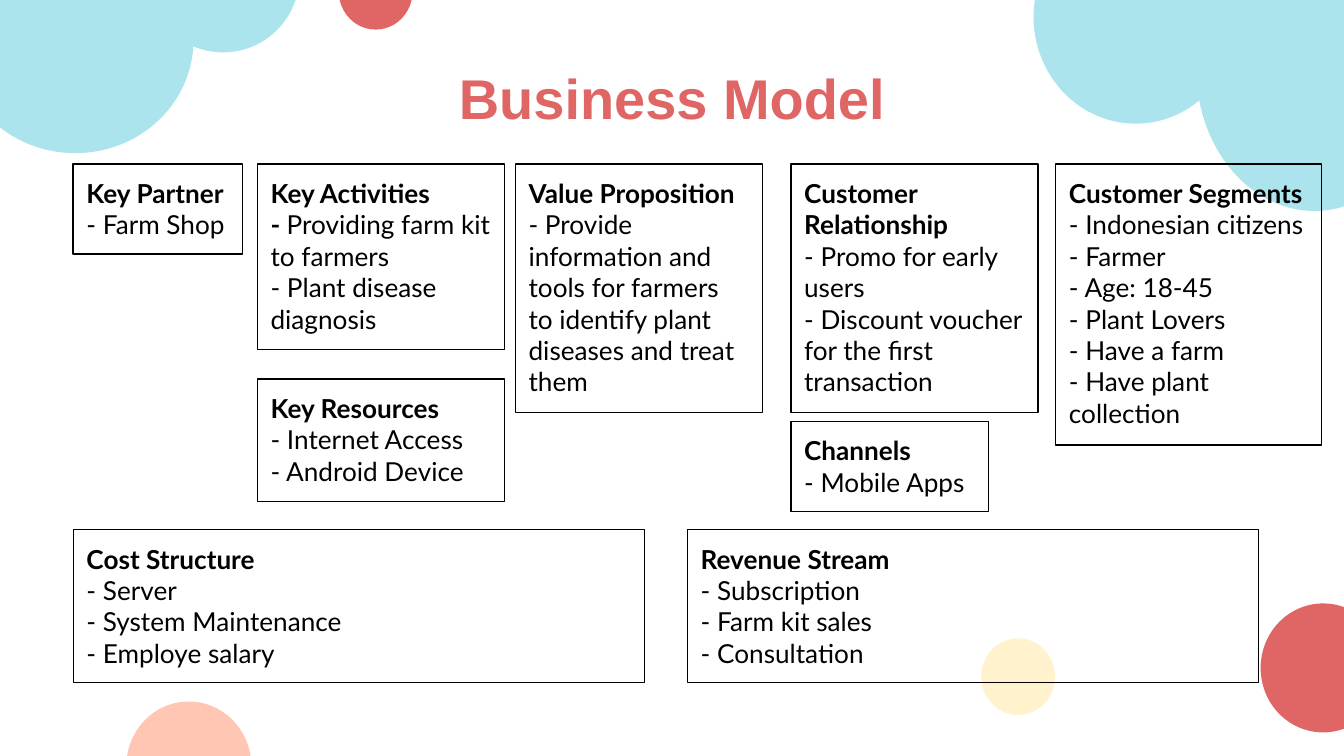
from dataclasses import dataclass

from pptx import Presentation
from pptx.dml.color import RGBColor
from pptx.enum.shapes import MSO_SHAPE
from pptx.enum.text import MSO_ANCHOR, MSO_AUTO_SIZE, PP_ALIGN
from pptx.util import Pt

PX = 4572


@dataclass(frozen=True)
class Theme:
    """Colours, fonts and type sizes of the deck."""

    ink: str = "000000"
    paper: str = "FFFFFF"
    red: str = "E06666"
    blue: str = "ACE4ED"
    cream: str = "FFF2CC"
    peach: str = "FFC6B3"
    head: str = "Arial"
    body: str = "Lato"
    big: int = 30
    small: int = 14
    rule: float = 0.75
    pad: int = 20


class Canvas:
    """Draws styled elements on the current slide."""

    def __init__(self, theme, slide):
        """Keep the style and the slide, and paint the ground."""
        self.theme, self.slide = theme, slide
        self.paint(slide.background.fill, theme.paper)

    def paint(self, fill, color):
        """Fill with one solid colour."""
        fill.solid()
        fill.fore_color.rgb = RGBColor.from_string(color)

    def style(self, font, name, size, color, bold):
        """Set the face, size, colour and weight of a font."""
        font.name, font.size, font.bold = name, Pt(size), bold
        font.color.rgb = RGBColor.from_string(color)

    def inset(self, frame, anchor):
        """Give a text frame even margins, wrapping and an anchor."""
        pad = self.theme.pad * PX
        frame.margin_left = frame.margin_right = pad
        frame.margin_top = frame.margin_bottom = pad
        frame.word_wrap, frame.vertical_anchor = True, anchor

    def shape(self, kind, *area):
        """Add a preset shape without a shadow."""
        item = self.slide.shapes.add_shape(kind, *(n * PX for n in area))
        item.shadow.inherit = False
        return item

    def title(self, text, *area):
        """Place and format the title."""
        t = self.theme
        item = self.slide.shapes.title
        item.left, item.top, item.width, item.height = (n * PX for n in area)
        frame = item.text_frame
        frame.text = text
        frame.auto_size = MSO_AUTO_SIZE.NONE
        self.inset(frame, MSO_ANCHOR.MIDDLE)
        para = frame.paragraphs[0]
        para.alignment = PP_ALIGN.CENTER
        self.style(para.font, t.head, t.big, t.red, True)

    def dot(self, color, *area):
        """Add a plain ellipse."""
        item = self.shape(MSO_SHAPE.OVAL, *area)
        self.paint(item.fill, color)
        item.line.fill.background()

    def box(self, area, head, *items, strong=0):
        """Add an outlined box: a bold head, then dashed items."""
        t = self.theme
        item = self.shape(MSO_SHAPE.RECTANGLE, *area)
        item.fill.background()
        item.line.color.rgb = RGBColor.from_string(t.ink)
        item.line.width = Pt(t.rule)
        frame = item.text_frame
        self.inset(frame, MSO_ANCHOR.TOP)
        frame.auto_size = MSO_AUTO_SIZE.SHAPE_TO_FIT_TEXT
        frame.text = "\n".join([head, *(f"- {text}" for text in items)])
        for row, para in enumerate(frame.paragraphs):
            para.alignment = PP_ALIGN.LEFT
            self.style(para.font, t.body, t.small, t.ink, row == 0)
        if strong:
            para = frame.paragraphs[strong]
            para.runs[0].text = "- "
            para.runs[0].font.bold = True
            para.add_run().text = items[strong - 1]


def main():
    """Build the business model slide."""
    deck = Presentation()
    deck.slide_width, deck.slide_height = 2000 * PX, 1125 * PX
    theme = Theme()
    page = Canvas(theme, deck.slides.add_slide(deck.slide_layouts[5]))

    page.dot(theme.red, 1876, 898, 186, 192)
    page.dot(theme.cream, 1460, 950, 110, 114)
    page.dot(theme.peach, 188, 1044, 186, 192)
    page.dot(theme.red, 504, -70, 110, 114)
    page.dot(theme.blue, 218, -152, 228, 230)
    page.dot(theme.blue, -64, -108, 352, 336)
    page.dot(theme.blue, 1780, -112, 352, 426)
    page.dot(theme.blue, 1538, -134, 304, 318)

    page.title("Business Model", 156, 100, 1688, 88)

    top, base, wide, half = 244, 788, 368, 850
    left, work, value, bond = 109, 383, 767, 1177
    page.box((left, top, 252, 134), "Key Partner", "Farm Shop")
    page.box((work, top, wide, 276), "Key Activities",
             "Providing farm kit to farmers", "Plant disease diagnosis",
             strong=1)
    page.box((work, 564, wide, 182), "Key Resources",
             "Internet Access", "Android Device")
    page.box((value, top, wide, 370), "Value Proposition",
             "Provide information and tools for farmers to identify "
             "plant diseases and treat them")
    page.box((bond, top, wide, 370), "Customer Relationship",
             "Promo for early users",
             "Discount voucher for the first transaction")
    page.box((bond, 627, 294, 134), "Channels", "Mobile Apps")
    page.box((1571, top, 396, 418), "Customer Segments",
             "Indonesian citizens", "Farmer", "Age: 18-45", "Plant Lovers",
             "Have a farm", "Have plant collection")
    page.box((left, base, half, 228), "Cost Structure",
             "Server", "System Maintenance", "Employe salary")
    page.box((1023, base, half, 228), "Revenue Stream",
             "Subscription", "Farm kit sales", "Consultation")

    deck.save("out.pptx")


if __name__ == "__main__":
    main()
